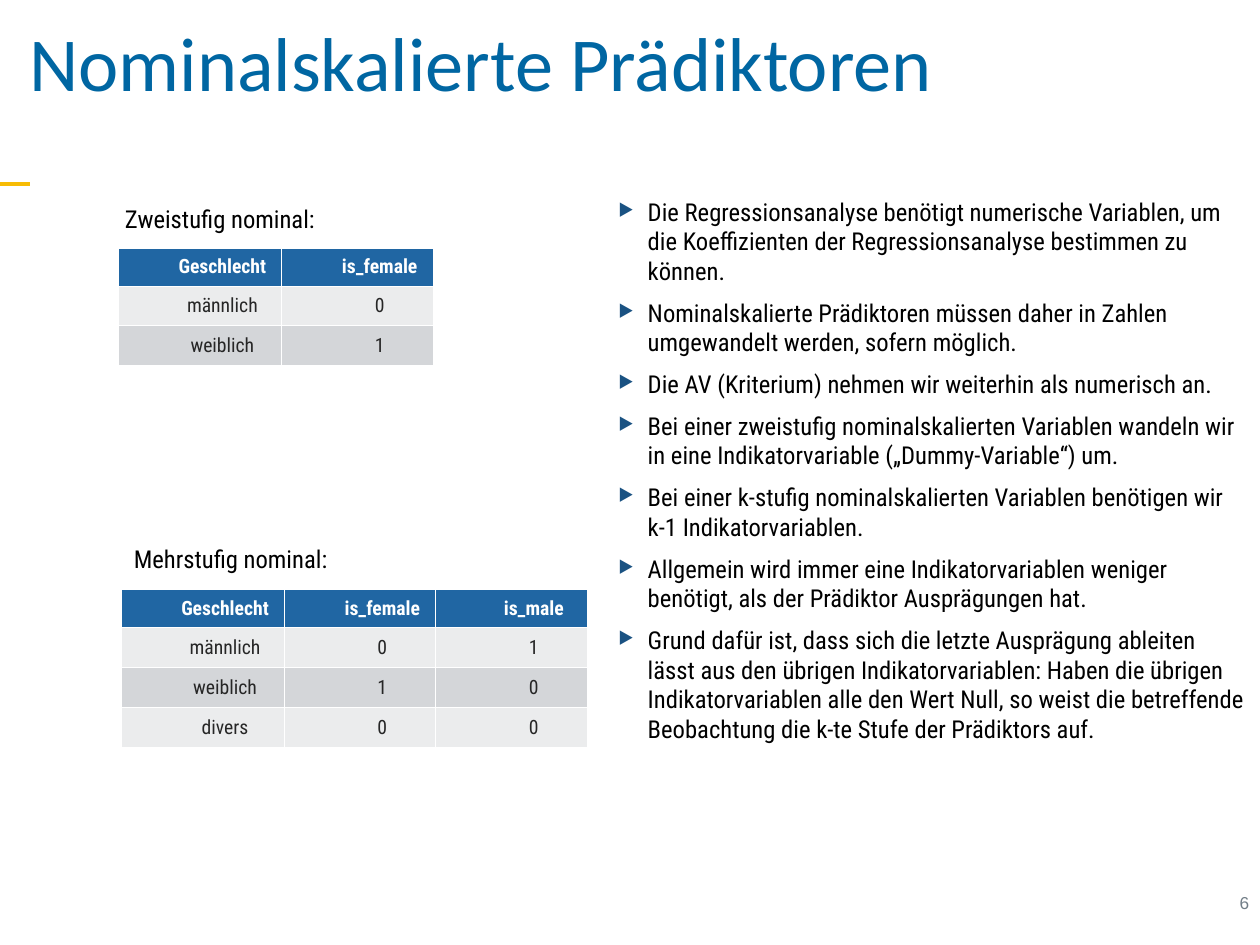
from dataclasses import dataclass

from lxml import etree
from pptx import Presentation
from pptx.dml.color import RGBColor
from pptx.enum.shapes import MSO_CONNECTOR
from pptx.enum.text import MSO_ANCHOR, MSO_AUTO_SIZE, PP_ALIGN
from pptx.oxml.ns import qn
from pptx.util import Inches, Pt

STRAIGHT = MSO_CONNECTOR.STRAIGHT
MIDDLE, TOP = MSO_ANCHOR.MIDDLE, MSO_ANCHOR.TOP
LEFT, CENTER, RIGHT = PP_ALIGN.LEFT, PP_ALIGN.CENTER, PP_ALIGN.RIGHT
NO_FIT = MSO_AUTO_SIZE.NONE

TITLE = "Nominalskalierte Prädiktoren"
PAGE_NUMBER = "6"
POINTS = [
    "Die Regressionsanalyse benötigt numerische Variablen, um die Koeffizienten "
    "der Regressionsanalyse bestimmen zu können.",
    "Nominalskalierte Prädiktoren müssen daher in Zahlen umgewandelt werden, sofern möglich.",
    "Die AV (Kriterium) nehmen wir weiterhin als numerisch an.",
    "Bei einer zweistufig nominalskalierten Variablen wandeln wir in eine "
    "Indikatorvariable („Dummy-Variable“) um.",
    "Bei einer k-stufig nominalskalierten Variablen benötigen wir k-1 Indikatorvariablen.",
    "Allgemein wird immer eine Indikatorvariablen weniger benötigt, als der Prädiktor "
    "Ausprägungen hat.",
    "Grund dafür ist, dass sich die letzte Ausprägung ableiten lässt aus den übrigen "
    "Indikatorvariablen: Haben die übrigen Indikatorvariablen alle den Wert Null, so weist "
    "die betreffende Beobachtung die k-te Stufe der Prädiktors auf.",
]
# Caption, caption box, table corner, rows
CODINGS = [
    ("Zweistufig nominal:", (1.2, 2.23, 2.45, 0.48), (1.34, 2.8), [
        ("Geschlecht", "is_female"),
        ("männlich", "0"),
        ("weiblich", "1"),
    ]),
    ("Mehrstufig nominal:", (1.3, 6.07, 2.49, 0.48), (1.37, 6.66), [
        ("Geschlecht", "is_female", "is_male"),
        ("männlich", "0", "1"),
        ("weiblich", "1", "0"),
        ("divers", "0", "0"),
    ]),
]
LABEL_WIDTH, VALUE_WIDTH = 1.84, 1.71
HEADER_HEIGHT, ROW_HEIGHT = 0.43, 0.45


@dataclass(frozen=True)
class Theme:
    title: str = "0066A2"
    accent: str = "F7BC05"
    bullet: str = "1A5282"
    text: str = "000000"
    muted: str = "717D87"
    header: str = "2066A3"
    bands: tuple = ("EBECED", "D4D6D9")
    cell_text: str = "262626"
    white: str = "FFFFFF"
    title_font: str = "Calibri"
    body_font: str = "Roboto Condensed"
    number_font: str = "Arial"
    title_size: int = 62
    body_size: int = 20
    cell_size: int = 16
    number_size: int = 14


THEME = Theme()


def place(box, left, top, width, height):
    box.left, box.top = Inches(left), Inches(top)
    box.width, box.height = Inches(width), Inches(height)


def set_frame(frame, inset, anchor=TOP, wrap=True):
    frame.margin_left = frame.margin_right = Inches(inset)
    frame.margin_top = frame.margin_bottom = Inches(inset)
    frame.vertical_anchor = anchor
    frame.word_wrap = wrap
    frame.auto_size = NO_FIT


def style(para, font, size, color, align=LEFT, margin=0.0, indent=0.0, bold=False):
    para.alignment = align
    para.font.name, para.font.size, para.font.bold = font, Pt(size), bold
    para.font.color.rgb = RGBColor.from_string(color)
    properties = para._p.get_or_add_pPr()
    properties.set("marL", str(Inches(margin)))
    properties.set("indent", str(Inches(indent)))


def add_color(parent, color):
    etree.SubElement(parent, qn("a:srgbClr"), val=color)


def add_bullet(para):
    """Add the bullet; the paragraph's font must be set afterwards to keep the XML order."""
    properties = para._p.get_or_add_pPr()
    add_color(etree.SubElement(properties, qn("a:buClr")), THEME.bullet)
    etree.SubElement(properties, qn("a:buSzPct"), val="200000")
    etree.SubElement(properties, qn("a:buChar"), char="‣")


def add_borders(cell):
    """Draw white cell borders; the fill must be set afterwards to keep the XML order."""
    properties = cell._tc.get_or_add_tcPr()
    for side in ("lnL", "lnR", "lnT", "lnB"):
        line = etree.SubElement(properties, qn(f"a:{side}"), w=str(Pt(1)))
        add_color(etree.SubElement(line, qn("a:solidFill")), THEME.white)


def add_label(page, text, area, font, size, color, align=LEFT):
    box = page.shapes.add_textbox(*map(Inches, area))
    set_frame(box.text_frame, 0.07, wrap=False)
    para = box.text_frame.paragraphs[0]
    para.text = text
    style(para, font, size, color, align, indent=0.14)


def add_coding_table(page, corner, rows):
    widths = [LABEL_WIDTH] + [VALUE_WIDTH] * (len(rows[0]) - 1)
    heights = [HEADER_HEIGHT] + [ROW_HEIGHT] * (len(rows) - 1)
    area = (*corner, sum(widths), sum(heights))
    table = page.shapes.add_table(len(rows), len(widths), *map(Inches, area)).table
    for column, width in zip(table.columns, widths):
        column.width = Inches(width)
    for r, (values, height) in enumerate(zip(rows, heights)):
        table.rows[r].height = Inches(height)
        is_header = r == 0
        fill = THEME.header if is_header else THEME.bands[(r - 1) % 2]
        color = THEME.white if is_header else THEME.cell_text
        for c, value in enumerate(values):
            cell = table.cell(r, c)
            add_borders(cell)
            cell.fill.solid()
            cell.fill.fore_color.rgb = RGBColor.from_string(fill)
            cell.margin_left = cell.margin_right = Inches(0.05)
            cell.margin_top = cell.margin_bottom = Inches(0.05)
            cell.vertical_anchor = MIDDLE
            para = cell.text_frame.paragraphs[0]
            para.text = value
            style(para, THEME.body_font, THEME.cell_size, color, CENTER,
                  indent=0.5, bold=is_header)


def add_accent_line(page):
    line = page.shapes.add_connector(STRAIGHT, 0, Inches(2.08), Inches(0.34), Inches(2.08))
    line.line.color.rgb = RGBColor.from_string(THEME.accent)
    line.line.width = Pt(3)
    etree.SubElement(line._element.spPr, qn("a:effectLst"))


def fill_title(title):
    place(title, 0, -0.02, 14.23, 1.55)
    set_frame(title.text_frame, 0.05, MIDDLE)
    para = title.text_frame.paragraphs[0]
    para.text = TITLE
    para.line_spacing = 0.9
    style(para, THEME.title_font, THEME.title_size, THEME.title, indent=0.28)


def fill_points(body):
    place(body, 6.82, 2.08, 7.39, 6.94)
    set_frame(body.text_frame, 0.14)
    body.text_frame.text = "\n".join(POINTS)
    for para in body.text_frame.paragraphs:
        add_bullet(para)
        para.space_before = Pt(10)
        style(para, THEME.body_font, THEME.body_size, THEME.text, margin=0.35, indent=-0.35)


def main():
    deck = Presentation()
    deck.slide_width, deck.slide_height = Inches(14.22), Inches(10.67)
    page = deck.slides.add_slide(deck.slide_layouts[1])
    add_accent_line(page)
    fill_title(page.shapes.title)
    fill_points(page.placeholders[1])
    add_label(page, PAGE_NUMBER, (13.77, 10, 0.4, 0.36),
              THEME.number_font, THEME.number_size, THEME.muted, RIGHT)
    for caption, area, corner, rows in CODINGS:
        add_coding_table(page, corner, rows)
        add_label(page, caption, area, THEME.body_font, THEME.body_size, THEME.text)
    deck.save("out.pptx")


if __name__ == "__main__":
    main()
